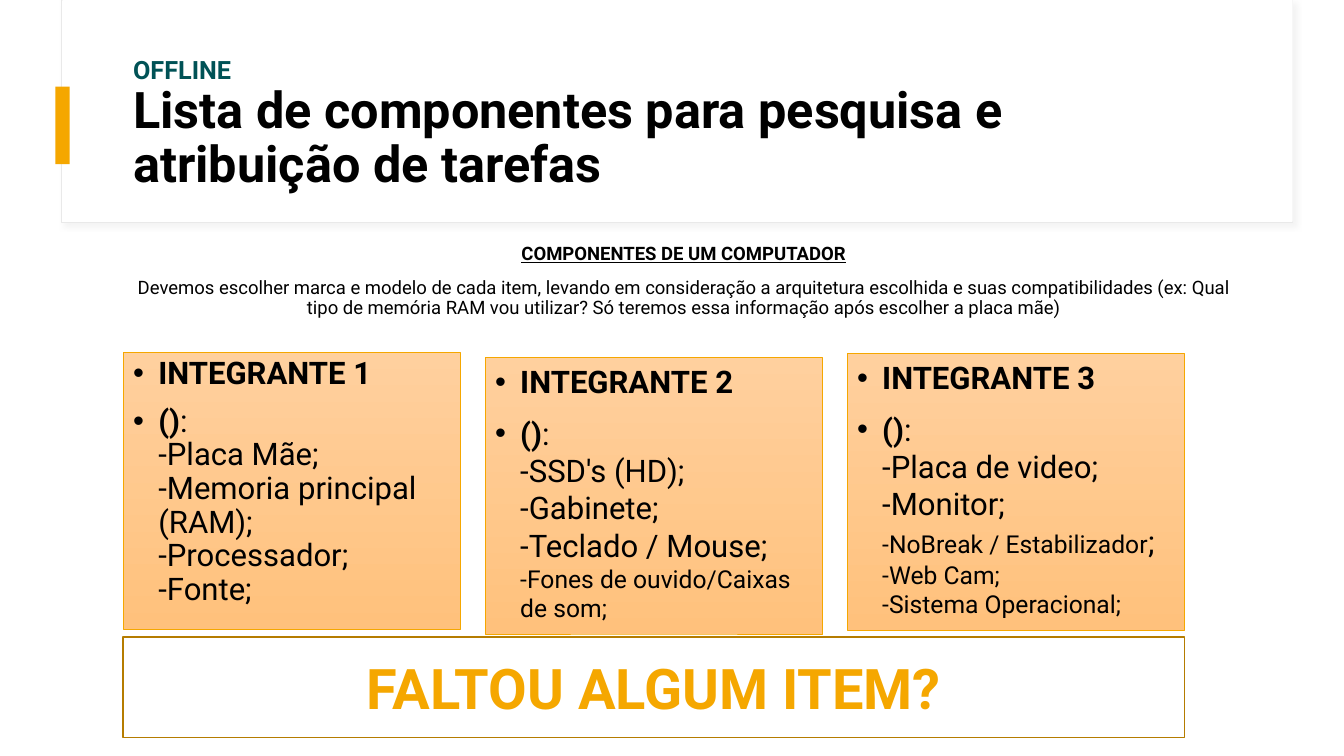
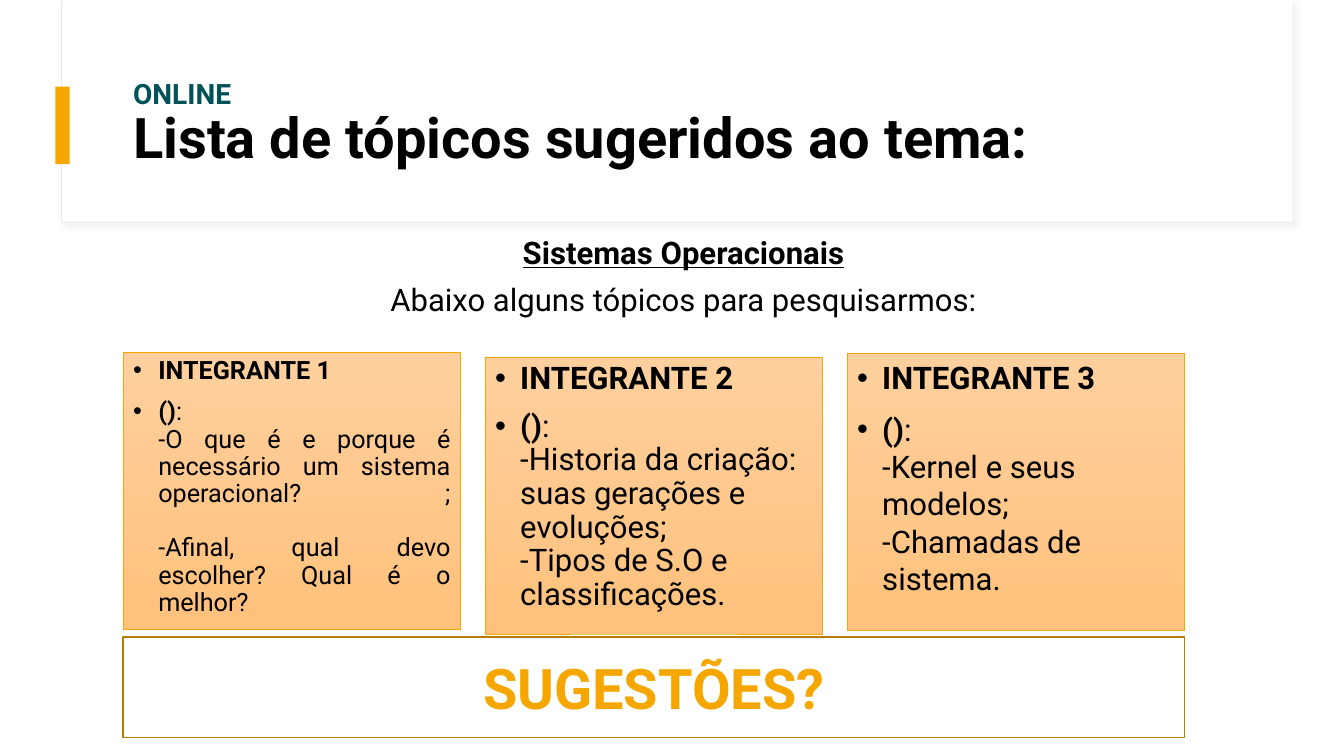
from copy import deepcopy
from typing import NamedTuple

from lxml import etree
from pptx import Presentation
from pptx.dml.color import RGBColor
from pptx.enum.shapes import MSO_SHAPE
from pptx.enum.text import MSO_ANCHOR, MSO_AUTO_SIZE, PP_ALIGN
from pptx.oxml.ns import qn
from pptx.util import Inches, Pt

RECTANGLE = MSO_SHAPE.RECTANGLE
TOP, MIDDLE, BOTTOM = MSO_ANCHOR.TOP, MSO_ANCHOR.MIDDLE, MSO_ANCHOR.BOTTOM
LEFT, CENTER, JUSTIFY = PP_ALIGN.LEFT, PP_ALIGN.CENTER, PP_ALIGN.JUSTIFY
NO_AUTOFIT = MSO_AUTO_SIZE.NONE

WHITE = RGBColor(0xFF, 0xFF, 0xFF)
BLACK = RGBColor(0x00, 0x00, 0x00)
TEAL = RGBColor(0x00, 0x52, 0x56)
AMBER = RGBColor(0xF5, 0xA7, 0x00)
BROWN = RGBColor(0xB5, 0x7C, 0x00)
PALE_GRAY = RGBColor(0xE9, 0xE9, 0xE9)
SHADOW_GRAY = RGBColor(0xD9, 0xD9, 0xD9)
CARD_TOP = RGBColor(0xFF, 0xD0, 0x9E)
CARD_BOTTOM = RGBColor(0xFF, 0xC1, 0x7C)

FONT = "Roboto"
LARGE, MEDIUM, SMALL = 22.2, 18, 17.6
COMPARISON_LAYOUT = 4
MARGIN = 1.22
CARD_STEP = 3.59
CARD_TOPS = (3.5, 3.55, 3.51)


class Piece(NamedTuple):
    text: str
    size: float
    bold: bool = False
    color: RGBColor = BLACK
    underline: bool = False


class Card(NamedTuple):
    heading_size: float
    tasks: list
    spacing: float = 1.0
    align: PP_ALIGN = LEFT


def apply_style(font, piece):
    font.name = FONT
    font.size = Pt(piece.size)
    font.bold = piece.bold
    font.underline = piece.underline
    font.color.rgb = piece.color


def add_bullet(paragraph):
    properties = paragraph._p.get_or_add_pPr()
    properties.set("marL", str(Inches(0.25)))
    properties.set("indent", str(Inches(-0.25)))
    etree.SubElement(properties, qn("a:buFont")).set("typeface", "Arial")
    etree.SubElement(properties, qn("a:buChar")).set("char", "•")


def write_paragraph(paragraph, pieces, align, spacing=1.0, before=0, bullet=False):
    if bullet:
        add_bullet(paragraph)
    paragraph.alignment = align
    paragraph.line_spacing = spacing
    paragraph.space_before = Pt(before)
    base = pieces[0]
    apply_style(paragraph.font, base)
    for piece in pieces:
        for number, line in enumerate(piece.text.split("\n")):
            if number:
                paragraph.add_line_break()
            if line:
                run = paragraph.add_run()
                run.text = line
                if piece[1:] != base[1:]:
                    apply_style(run.font, piece)
    for line_break in paragraph._p.iter(qn("a:br")):
        previous_style = line_break.getprevious().find(qn("a:rPr"))
        if previous_style is not None:
            line_break.insert(0, deepcopy(previous_style))


def prepare_frame(shape, anchor):
    frame = shape.text_frame
    frame.word_wrap = True
    frame.auto_size = NO_AUTOFIT
    frame.vertical_anchor = anchor
    return frame


def place(shape, left, top, width, height):
    shape.left, shape.top = Inches(left), Inches(top)
    shape.width, shape.height = Inches(width), Inches(height)


def add_box(slide, box, fill, line=None, line_width=0.75):
    shape = slide.shapes.add_shape(RECTANGLE, *map(Inches, box))
    shape.shadow.inherit = False
    shape.fill.solid()
    shape.fill.fore_color.rgb = fill
    if line is None:
        shape.line.fill.background()
    else:
        shape.line.color.rgb = line
        shape.line.width = Pt(line_width)
    return shape


def add_soft_shadow(shape):
    effects = shape.element.spPr.find(qn("a:effectLst"))
    shadow = etree.SubElement(effects, qn("a:outerShdw"), blurRad=str(Pt(4)),
                              dist=str(Pt(3)), dir=str(45 * 60000))
    color = etree.SubElement(shadow, qn("a:srgbClr"), val=str(SHADOW_GRAY))
    etree.SubElement(color, qn("a:alpha"), val="30000")


def decorate_layout(layout, slide):
    frame = add_box(slide, (0.61, 0, 12.21, 2.21), WHITE, PALE_GRAY)
    add_soft_shadow(frame)
    panel = add_box(slide, (0.62, 0, 12.2, 2.2), WHITE)
    accent = add_box(slide, (0.55, 0.86, 0.14, 0.77), AMBER)
    for position, part in enumerate((frame, panel, accent), start=2):
        part.element.nvSpPr.cNvPr.set("id", str(100 + position))
        layout.shapes.element.insert(position, part.element)


def write_title(title, mode, mode_size, topic, topic_size):
    place(title, MARGIN, 0.6, 11.12, 1.29)
    paragraph = prepare_frame(title, MIDDLE).paragraphs[0]
    pieces = [Piece(mode + "\n", mode_size, True, TEAL), Piece(topic, topic_size, True)]
    write_paragraph(paragraph, pieces, LEFT, 0.9)


def write_intro(intro, heading, explanation, size):
    place(intro, MARGIN, 2.3, 11.12, 0.91)
    frame = prepare_frame(intro, BOTTOM)
    write_paragraph(frame.paragraphs[0], [Piece(heading, size, True, underline=True)],
                    CENTER, 0.9, 10)
    write_paragraph(frame.add_paragraph(), [Piece(explanation, size)], CENTER, 0.9, 10)


def write_card(holder, index, card):
    place(holder, MARGIN + index * CARD_STEP, CARD_TOPS[index], 3.35, 2.74)
    holder.fill.gradient()
    holder.fill.gradient_angle = 270
    for stop, color in zip(holder.fill.gradient_stops, (CARD_TOP, CARD_BOTTOM)):
        stop.color.rgb = color
    holder.line.color.rgb = AMBER
    holder.line.width = Pt(0.5)
    frame = prepare_frame(holder, TOP)
    heading = Piece(f"INTEGRANTE {index + 1}", card.heading_size, True)
    write_paragraph(frame.paragraphs[0], [heading], LEFT, card.spacing, 10, True)
    pieces = [Piece("()", card.heading_size, True)] + card.tasks
    write_paragraph(frame.add_paragraph(), pieces, card.align, card.spacing, 10, True)


def add_question(slide, question):
    band = add_box(slide, (MARGIN, 6.32, 10.53, 1), WHITE, BROWN, 1)
    paragraph = prepare_frame(band, MIDDLE).paragraphs[0]
    write_paragraph(paragraph, [Piece(question, 40, True, AMBER)], CENTER)


def fill_slide(slide, title, intro, cards, question):
    title_holder, intro_holder, *card_holders = slide.placeholders
    write_title(title_holder, *title)
    write_intro(intro_holder, *intro)
    for index, (holder, card) in enumerate(zip(card_holders, cards)):
        write_card(holder, index, card)
    add_question(slide, question)


def main():
    deck = Presentation()
    deck.slide_width, deck.slide_height = Inches(13.33), Inches(7.5)
    layout = deck.slide_layouts[COMPARISON_LAYOUT]

    components = deck.slides.add_slide(layout)
    decorate_layout(layout, components)
    fill_slide(
        components,
        ("OFFLINE", 18, "Lista de componentes para pesquisa e atribuição de tarefas", 36),
        ("COMPONENTES DE UM COMPUTADOR",
         "Devemos escolher marca e modelo de cada item, levando em consideração a "
         "arquitetura escolhida e suas compatibilidades (ex: Qual tipo de memória RAM "
         "vou utilizar? Só teremos essa informação após escolher a placa mãe)", 13.2),
        [
            Card(LARGE, [Piece(":\n-Placa Mãe;\n-Memoria principal (RAM);\n"
                               "-Processador;\n-Fonte;", LARGE)], 0.9),
            Card(LARGE, [Piece(":\n-SSD's (HD);\n-Gabinete;\n-Teclado / Mouse;\n", LARGE),
                         Piece("-Fones de ouvido/Caixas de som;", SMALL)]),
            Card(LARGE, [Piece(":\n-Placa de video;\n-Monitor;\n", LARGE),
                         Piece("-NoBreak / Estabilizador", SMALL),
                         Piece(";\n", LARGE),
                         Piece("-Web Cam;\n-Sistema Operacional;", SMALL)]),
        ],
        "FALTOU ALGUM ITEM?",
    )

    fill_slide(
        deck.slides.add_slide(layout),
        ("ONLINE", 20, "Lista de tópicos sugeridos ao tema:", 40),
        ("Sistemas Operacionais", "Abaixo alguns tópicos para pesquisarmos:", LARGE),
        [
            Card(MEDIUM, [Piece(":\n-O que é e porque é necessário um sistema operacional? ;"
                                "\n\n-Afinal, qual devo escolher? Qual é o melhor?", MEDIUM)],
                 0.9, JUSTIFY),
            Card(LARGE, [Piece(":\n-Historia da criação: suas gerações e evoluções;\n"
                               "-Tipos de S.O e classificações.", LARGE)], 0.9),
            Card(LARGE, [Piece(":\n-Kernel e seus modelos;\n-Chamadas de sistema.", LARGE)]),
        ],
        "SUGESTÕES?",
    )
    deck.save("out.pptx")


if __name__ == "__main__":
    main()
